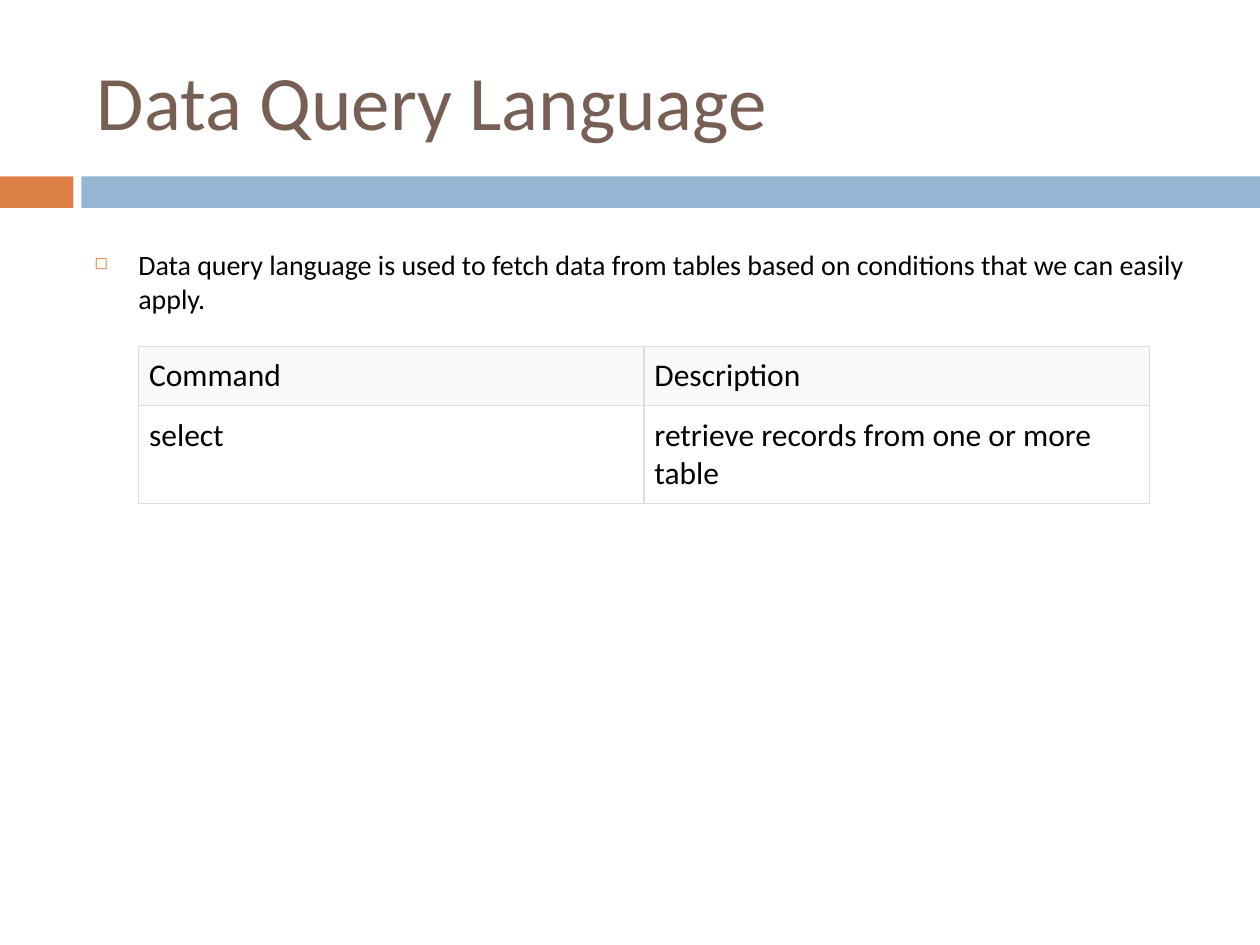
from dataclasses import dataclass

from lxml.etree import SubElement
from pptx import Presentation
from pptx.dml.color import RGBColor as Color
from pptx.enum.shapes import MSO_SHAPE as Shape
from pptx.enum.text import MSO_ANCHOR as Anchor, MSO_AUTO_SIZE as AutoSize, PP_ALIGN as Align
from pptx.oxml.ns import qn
from pptx.util import Pt


@dataclass(frozen=True)
class Theme:
    font: str = "Calibri"
    title: str = "775F55"
    text: str = "000000"
    accent: str = "DD8047"
    band: str = "94B6D2"
    header: str = "F9F9F9"
    border: str = "DDDDDD"
    title_size: float = 44
    body_size: float = 16
    table_size: float = 18


THEME = Theme()


def add_color(parent, color):
    fill = SubElement(parent, qn("a:solidFill"))
    SubElement(fill, qn("a:srgbClr"), val=color)


def write_text(frame, text, size, color=THEME.text, anchor=Anchor.TOP, bullet=None, indent=25.2):
    frame.word_wrap = True
    frame.vertical_anchor = anchor
    paragraph = frame.paragraphs[0]
    paragraph.alignment = Align.LEFT
    if bullet:
        properties = paragraph._p.get_or_add_pPr()
        properties.set("marL", str(Pt(indent)))
        properties.set("indent", str(-Pt(indent)))
        bullet_color = SubElement(properties, qn("a:buClr"))
        SubElement(bullet_color, qn("a:srgbClr"), val=THEME.accent)
        SubElement(properties, qn("a:buSzPct"), val="60000")
        SubElement(properties, qn("a:buChar"), char=bullet)
    run = paragraph.add_run()
    run.text = text
    run.font.name = THEME.font
    run.font.size = Pt(size)
    run.font.color.rgb = Color.from_string(color)


def add_bar(slide, left, width, color):
    shape = slide.shapes.add_shape(Shape.RECTANGLE, Pt(left), Pt(100.8), Pt(width), Pt(18))
    shape.shadow.inherit = False
    shape.fill.solid()
    shape.fill.fore_color.rgb = Color.from_string(color)
    shape.line.fill.background()


def set_title(slide, text):
    title = slide.shapes.title
    title.left, title.top, title.width, title.height = Pt(48.2), Pt(18), Pt(642), Pt(78)
    title.text_frame.auto_size = AutoSize.NONE
    write_text(title.text_frame, text, THEME.title_size, THEME.title, Anchor.MIDDLE)


def add_body(slide, text):
    box = slide.shapes.add_textbox(Pt(46.8), Pt(138.2), Pt(642), Pt(354))
    write_text(box.text_frame, text, THEME.body_size, bullet="◻")


def add_borders(cell):
    properties = cell._tc.get_or_add_tcPr()
    for position, side in enumerate(("lnL", "lnR", "lnT", "lnB")):
        line = properties.makeelement(qn(f"a:{side}"), {"w": str(Pt(0.75))})
        add_color(line, THEME.border)
        properties.insert(position, line)


def add_command_table(slide, rows, column_width, row_heights):
    columns = len(rows[0])
    frame = slide.shapes.add_table(
        len(rows), columns, Pt(79.2), Pt(198), Pt(column_width * columns), Pt(sum(row_heights))
    )
    table = frame.table
    table.horz_banding = False
    for column in table.columns:
        column.width = Pt(column_width)
    for row_index, (row, height) in enumerate(zip(rows, row_heights)):
        table.rows[row_index].height = Pt(height)
        for column_index, text in enumerate(row):
            cell = table.cell(row_index, column_index)
            cell.margin_left = cell.margin_right = Pt(6)
            cell.margin_top = cell.margin_bottom = Pt(6)
            if row_index == 0:
                cell.fill.solid()
                cell.fill.fore_color.rgb = Color.from_string(THEME.header)
            else:
                cell.fill.background()
            write_text(cell.text_frame, text, THEME.table_size)
            add_borders(cell)


def main():
    presentation = Presentation()
    presentation.slide_width, presentation.slide_height = Pt(720), Pt(540)
    slide = presentation.slides.add_slide(presentation.slide_layouts[5])
    add_bar(slide, 0, 42, THEME.accent)
    add_bar(slide, 46.5, 673.5, THEME.band)
    set_title(slide, "Data Query Language")
    add_body(
        slide,
        "Data query language is used to fetch data from tables based on conditions "
        "that we can easily apply.",
    )
    rows = [
        ("Command", "Description"),
        ("select", "retrieve records from one or more table"),
    ]
    add_command_table(slide, rows, 288.8, (33.8, 55.8))
    presentation.save("out.pptx")


if __name__ == "__main__":
    main()
